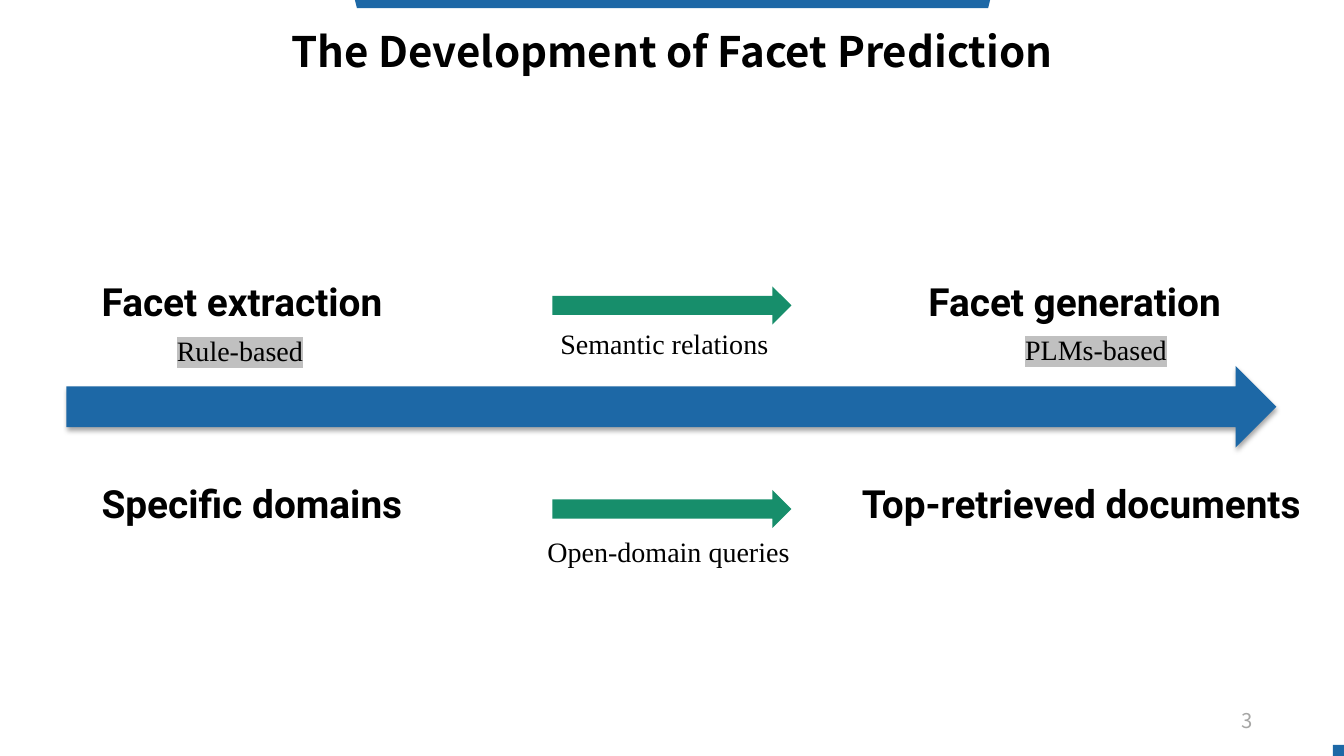
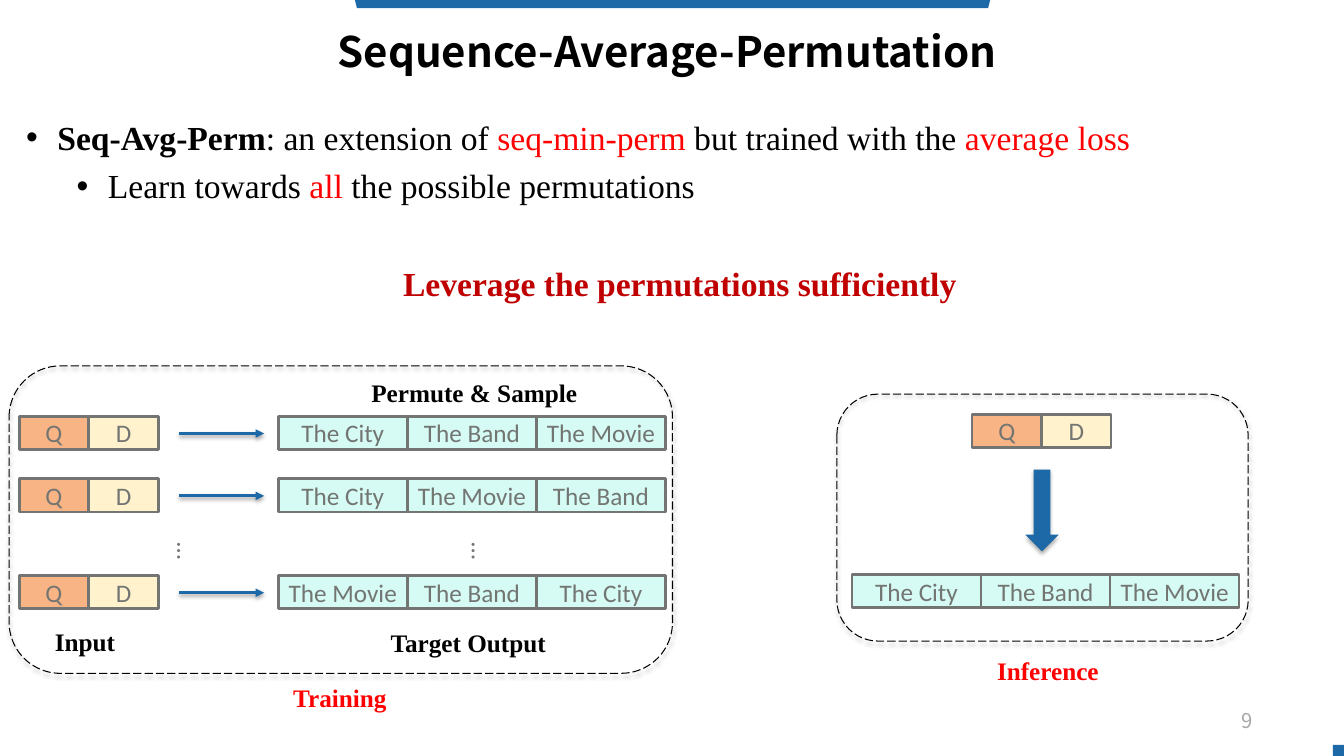
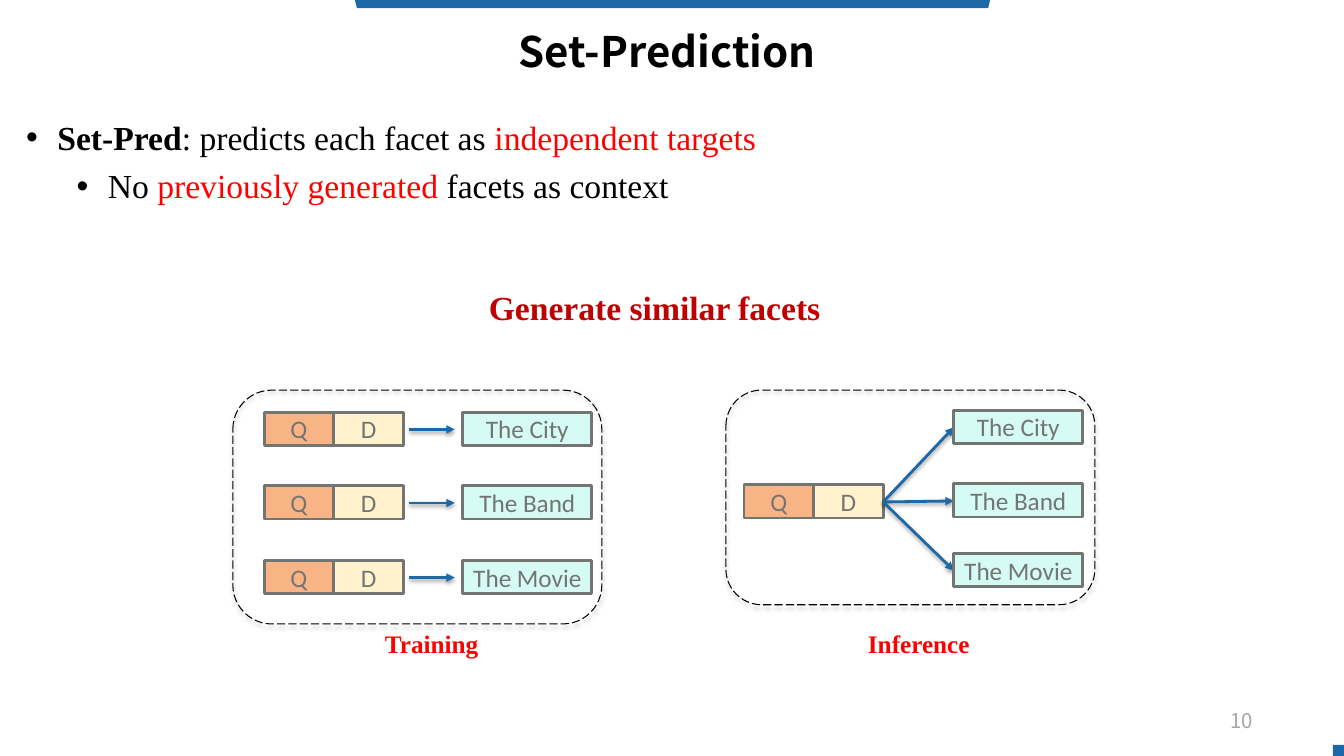
import pptx
import pptx.util
import pptx.dml.color
import pptx.enum.dml
import pptx.enum.shapes
import pptx.enum.text
import pptx.oxml
import pptx.oxml.ns
import lxml.etree

Inches, Pt = pptx.util.Inches, pptx.util.Pt
MSO = pptx.enum.shapes.MSO_SHAPE
ALIGN = pptx.enum.text.PP_ALIGN
ANCHOR = pptx.enum.text.MSO_ANCHOR
AUTO = pptx.enum.text.MSO_AUTO_SIZE
qn = pptx.oxml.ns.qn

COLORS = {
    "black": "000000", "blue": "1D68A6", "green": "178E6B", "gray": "737572",
    "number": "A6A6A5", "highlight": "C0C0C0", "red": "FF0000", "crimson": "C00000",
    "query": "F9B485", "document": "FFF2CC", "facet": "D5FBF4",
}
SANS, SERIF, HEAD, BOX = "Noto Sans CJK SC", "Times New Roman", "Roboto", "Calibri"
RED, BOLD = {"color": "red"}, {"bold": True}
CELL_H = 0.33
CELL_KINDS = {"Q": (0.69, "query"), "D": (0.69, "document")}
FACET_KIND = (1.28, "facet")
QD = ["Q", "D"]
CITY, BAND, MOVIE = "The City", "The Band", "The Movie"

STAGES = [
    ("Facet extraction", 0.91, 2.71, 3.31),
    ("Facet generation", 9.11, 2.71, 3.31),
    ("Specific domains", 0.91, 4.71, 3.43),
    ("Top-retrieved documents", 8.45, 4.71, 4.88),
]
STEPS = [
    ("Semantic relations", 5.45, 3.19, 2.28, None),
    ("Open-domain queries", 5.32, 5.25, 2.62, None),
    ("PLMs-based", 10.06, 3.25, 1.62, "highlight"),
    ("Rule-based", 1.65, 3.26, 1.46, "highlight"),
]
STEP_ARROW_TOPS = [2.84, 4.86]

PERM_BODY = [
    [("Seq-Avg-Perm", BOLD), (": an extension of ", {}), ("seq-min-perm", RED),
     (" but trained with the ", {}), ("average loss", RED)],
    [("Learn towards ", {}), ("all", RED), (" the possible permutations", {})],
]
PERM_ROWS = [
    (4.13, [CITY, BAND, MOVIE]),
    (4.75, [CITY, MOVIE, BAND]),
    (5.71, [MOVIE, BAND, CITY]),
]
PERM_CAPTIONS = [
    ("Permute & Sample ", 3.44, 3.69, 2.59),
    ("Target Output ", 3.38, 6.17, 2.59),
    ("Input ", 0.36, 6.16, 1.03),
]

SET_BODY = [
    [("Set-Pred", BOLD), (": predicts each facet as ", {}), ("independent targets", RED)],
    [("No ", {}), ("previously generated ", RED), ("facets as context", {})],
]
SET_TRAINING = [(4.09, CITY), (4.82, BAND), (5.56, MOVIE)]
SET_INFERENCE = [(4.07, CITY), (4.8, BAND), (5.49, MOVIE)]


def rgb(name):
    return pptx.dml.color.RGBColor.from_string(COLORS[name])


def write(p, text, size=18, color="black", font=SERIF, bold=False, align=None, highlight=None):
    r = p.add_run()
    r.text = text
    r.font.size, r.font.bold, r.font.name = Pt(size), bold, font
    r.font.color.rgb = rgb(color)
    if align is not None:
        p.alignment = align
    if highlight:
        mark = lxml.etree.Element(qn("a:highlight"))
        lxml.etree.SubElement(mark, qn("a:srgbClr")).set("val", COLORS[highlight])
        r.font.fill._xPr.find(qn("a:latin")).addprevious(mark)


def place(sp, x, y, w, h):
    sp.left, sp.top, sp.width, sp.height = map(Inches, (x, y, w, h))


def inset(tf, x, y):
    tf.margin_left = tf.margin_right = Inches(x)
    tf.margin_top = tf.margin_bottom = Inches(y)


def label(s, text, x, y, w, h=0.4, wrap=False, **fmt):
    sp = s.shapes.add_textbox(*map(Inches, (x, y, w, h)))
    tf = sp.text_frame
    tf.word_wrap, tf.auto_size = wrap, AUTO.SHAPE_TO_FIT_TEXT
    write(tf.paragraphs[0], text, **fmt)
    return sp


def add_shadow(sp, alpha=35, dist=1.8):
    props = sp._element.spPr
    for old in props.findall(qn("a:effectLst")):
        props.remove(old)
    effects = lxml.etree.SubElement(props, qn("a:effectLst"))
    outer = lxml.etree.SubElement(
        effects, qn("a:outerShdw"), blurRad=str(Pt(3.1)), dist=str(Pt(dist)),
        dir="5400000", rotWithShape="0")
    color = lxml.etree.SubElement(outer, qn("a:srgbClr"), val=COLORS["black"])
    lxml.etree.SubElement(color, qn("a:alpha"), val=str(alpha * 1000))


def shape(shapes, kind, x, y, w, h, fill=None, line=None, weight=2, shadow=False):
    sp = shapes.add_shape(kind, *map(Inches, (x, y, w, h)))
    sp.shadow.inherit = False
    if fill:
        sp.fill.solid()
        sp.fill.fore_color.rgb = rgb(fill)
    else:
        sp.fill.background()
    if line:
        sp.line.color.rgb, sp.line.width = rgb(line), Pt(weight)
    else:
        sp.line.fill.background()
    if shadow:
        add_shadow(sp)
    return sp


def frame(s, x, y, w, h):
    sp = shape(s.shapes, MSO.ROUNDED_RECTANGLE, x, y, w, h,
               line="black", weight=0.75, shadow=True)
    sp.line.dash_style = pptx.enum.dml.MSO_LINE.LONG_DASH


def arrow(s, x1, y1, x2, y2):
    sp = s.shapes.add_connector(
        pptx.enum.shapes.MSO_CONNECTOR.STRAIGHT, *map(Inches, (x1, y1, x2, y2)))
    sp.line.color.rgb, sp.line.width = rgb("blue"), Pt(2)
    lxml.etree.SubElement(sp.line._get_or_add_ln(), qn("a:tailEnd"), type="triangle")
    add_shadow(sp, alpha=38, dist=1.6)


def cells(s, x, y, names):
    shapes = s.shapes.add_group_shape().shapes if len(names) > 1 else s.shapes
    for name in names:
        w, fill = CELL_KINDS.get(name, FACET_KIND)
        sp = shape(shapes, MSO.RECTANGLE, x, y, w, CELL_H, fill, "gray")
        tf = sp.text_frame
        inset(tf, 0, 0)
        tf.vertical_anchor = ANCHOR.MIDDLE
        write(tf.paragraphs[0], name, color="gray", font=BOX, align=ALIGN.CENTER)
        x += w


def base_slide(prs, title, number, body=None):
    s = prs.slides.add_slide(prs.slide_layouts[1 if body else 5])
    shape(s.shapes, MSO.TRAPEZOID, 3.52, 0, 6.3, 0.08, "blue").rotation = 180
    shape(s.shapes, MSO.RECTANGLE, 13.22, 7.39, 0.11, 0.12, "blue")
    place(s.shapes.title, 0, 0.01, 13.33, 0.98)
    tf = s.shapes.title.text_frame
    write(tf.paragraphs[0], title, size=30, font=SANS, bold=True, align=ALIGN.CENTER)
    page = s.shapes.add_textbox(*map(Inches, (9.56, 6.95, 3.11, 0.4))).text_frame
    write(page.paragraphs[0], number, size=14.5, color="number", font=SANS, align=ALIGN.RIGHT)
    for frame_text in (tf, page):
        inset(frame_text, 0.24, 0.12)
        frame_text.word_wrap, frame_text.auto_size = True, AUTO.NONE
        frame_text.vertical_anchor = ANCHOR.MIDDLE
    if body:
        fill_body(s.placeholders[1], body)
    return s


def fill_body(sp, items):
    place(sp, 0.16, 1.03, 12.82, 1.03)
    tf = sp.text_frame
    tf.auto_size, tf.vertical_anchor = AUTO.NONE, ANCHOR.TOP
    for level, runs in enumerate(items):
        p = tf.paragraphs[0] if level == 0 else tf.add_paragraph()
        p.level, p.line_spacing = level, 1.2
        p.space_before = Pt(0)
        props = p._p.get_or_add_pPr()
        props.set("marL", str(Inches(0.31 + 0.5 * level)))
        props.set("indent", str(Inches(-0.31)))
        lxml.etree.SubElement(props, qn("a:buFont"), typeface="Arial")
        lxml.etree.SubElement(props, qn("a:buChar"), char="•")
        for text, fmt in runs:
            write(p, text, size=24, **fmt)


def development(prs):
    s = base_slide(prs, "The Development of Facet Prediction", "3")
    shape(s.shapes, MSO.RIGHT_ARROW, 0.66, 3.63, 12, 0.81, "blue", shadow=True)
    for text, x, y, w in STAGES:
        label(s, text, x, y, w, 0.57, wrap=True, size=27.7, font=HEAD, bold=True)
    for y in STEP_ARROW_TOPS:
        shape(s.shapes, MSO.RIGHT_ARROW, 5.48, y, 2.37, 0.38, "green")
    for text, x, y, w, mark in STEPS:
        label(s, text, x, y, w, 0.44, size=20, align=ALIGN.CENTER, highlight=mark)


def permutation(prs):
    s = base_slide(prs, "Sequence-Average-Permutation ", "9", PERM_BODY)
    label(s, "Leverage the permutations sufficiently", 3.9, 2.56, 5.74, 0.5,
          size=24, color="crimson", bold=True)
    frame(s, 0.09, 3.63, 6.58, 3.05)
    frame(s, 8.3, 3.91, 4.08, 2.45)
    for y, facets in PERM_ROWS:
        cells(s, 0.19, y, QD)
        arrow(s, 1.78, y + 0.17, 2.62, y + 0.17)
        cells(s, 2.76, y, facets)
    for x in (1.56, 4.48):
        dots = label(s, "…", x, 5.28, 0.5, 0.35, color="gray", font=BOX)
        dots.text_frame._txBody.bodyPr.set("vert", "eaVert")
    for text, x, y, w in PERM_CAPTIONS:
        label(s, text, x, y, w, wrap=True, bold=True, align=ALIGN.CENTER)
    cells(s, 9.64, 4.11, QD)
    shape(s.shapes, MSO.DOWN_ARROW, 10.17, 4.66, 0.33, 0.81, "blue", shadow=True)
    cells(s, 8.45, 5.7, [CITY, BAND, MOVIE])
    label(s, "Training", 2.81, 6.72, 1.14, color="red", bold=True)
    label(s, "Inference", 9.79, 6.45, 1.22, color="red", bold=True)


def set_prediction(prs):
    s = base_slide(prs, "Set-Prediction ", "10", SET_BODY)
    label(s, "Generate similar facets", 4.75, 2.8, 3.65, 0.5,
          size=24, color="crimson", bold=True)
    frame(s, 2.31, 3.87, 3.66, 2.32)
    frame(s, 7.2, 3.87, 3.66, 2.13)
    for y, facet in SET_TRAINING:
        cells(s, 2.62, y, QD)
        arrow(s, 4.06, y + 0.17, 4.51, y + 0.17)
        cells(s, 4.59, y, [facet])
    cells(s, 7.38, 4.81, QD)
    for y, facet in SET_INFERENCE:
        arrow(s, 8.76, 4.98, 9.46, y + 0.17)
        cells(s, 9.46, y, [facet])
    label(s, "Training", 3.72, 6.18, 1.14, color="red", bold=True)
    label(s, "Inference", 8.51, 6.18, 1.22, color="red", bold=True)


def main():
    prs = pptx.Presentation()
    prs.slide_width, prs.slide_height = Inches(13.33), Inches(7.5)
    development(prs)
    permutation(prs)
    set_prediction(prs)
    prs.save("out.pptx")


if __name__ == "__main__":
    main()
